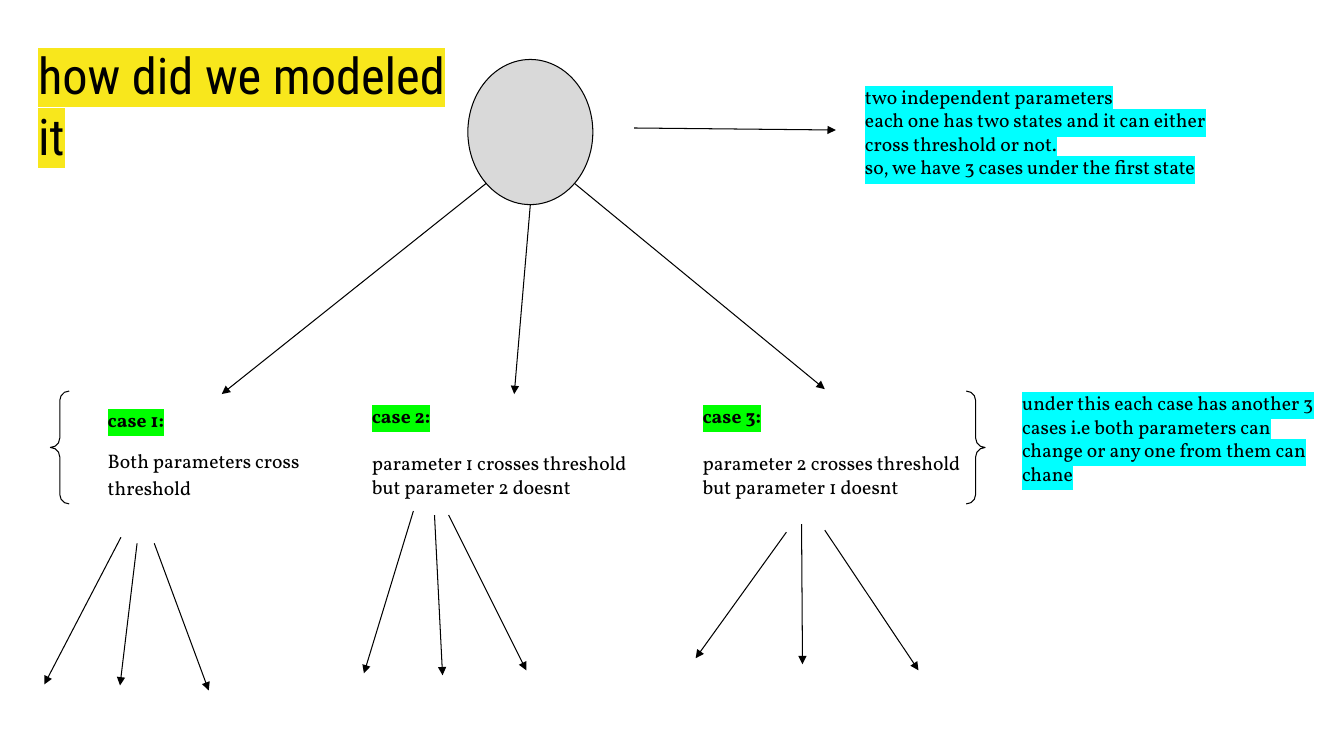
from math import cos, radians, sin

from lxml.etree import SubElement
from pptx import Presentation
from pptx.dml.color import RGBColor
from pptx.enum.shapes import MSO_CONNECTOR, MSO_SHAPE
from pptx.oxml import parse_xml
from pptx.oxml.ns import nsdecls, qn
from pptx.util import Inches, Pt

# Content: every length is a percentage of the slide's width or height
BLACK, GREY = "000000", "D9D9D9"
YELLOW, CYAN, GREEN = "F8E71C", "00FFFF", "00FF00"
TITLE_FONT, BODY_FONT = "Roboto Condensed", "Vollkorn"
BODY_SIZE = 14

TITLE = ("how did we modeled it", (2.1, 5.2, 32.7, 12))
STATE_CIRCLE = (34.81, 7.87, 9.3, 19.2)
CASE_BRACES = (3.75, 51.73, 69.54, 14.93)
NOTES = [
    (["two independent parameters",
      "each one has two states and it can either cross threshold or not.",
      "so, we have 3 cases under the first state"],
     (63.62, 9.87, 28.13, 15.2)),
    (["under this each case has another 3 cases i.e both parameters can "
      "change or any one from them can chane"],
     (75.32, 50.4, 23.93, 15.2)),
]
NOTE_ARROW = ((47.19, 16.93), (62.19, 17.2))

CASE_TOP, CASE_HEIGHT = 52.13, 15.2
# heading, lines, left, width, line spacing, space before heading and text
CASES = [
    ("case 1:", ["Both parameters cross threshold"], 7.28, 18.53, 1.15, 10, 10),
    ("case 2:", ["parameter 1 crosses threshold but parameter 2 doesnt"],
     26.93, 22.73, None, 0, 16.8),
    ("case 3:", ["parameter 2 crosses threshold", "but parameter 1 doesnt"],
     51.54, 28.13, None, 0, 16.8),
]
# angle on the circle (clockwise from the right), arrow tip
BRANCHES = [(135, (16.5, 52.13)), (90, (38.26, 52.13)), (45, (61.37, 51.47))]
CASE_FANS = [
    [((9, 71.07), (3.3, 90.53)), ((10.2, 71.87), (8.93, 90.67)),
     ((11.48, 71.87), (15.53, 91.33))],
    [((30.76, 67.6), (27.08, 89.07)), ((32.33, 68.13), (32.93, 89.33)),
     ((33.38, 68.13), (39.16, 88.67))],
    [((58.51, 70.4), (51.76, 87.07)), ((59.64, 69.33), (59.71, 87.87)),
     ((61.37, 70.13), (68.34, 88.67))],
]

presentation = Presentation()
presentation.slide_width, presentation.slide_height = Inches(13.33), Inches(7.5)
slide = presentation.slides.add_slide(presentation.slide_layouts[6])


def color(hex_value):
    return RGBColor.from_string(hex_value)


def place(*shares):
    """Turn alternating x and y percentages into slide lengths."""
    sides = (presentation.slide_width, presentation.slide_height)
    return [round(share / 100 * sides[index % 2])
            for index, share in enumerate(shares)]


def add_text_frame(box, vertical_inset=0.1):
    frame = slide.shapes.add_textbox(*place(*box)).text_frame
    frame.word_wrap = True
    frame.margin_left = frame.margin_right = Inches(0.1)
    frame.margin_top = frame.margin_bottom = Inches(vertical_inset)
    return frame


def add_run(paragraph, text, highlight=None, bold=False,
            size=BODY_SIZE, font=BODY_FONT):
    run = paragraph.add_run()
    run.text = text
    run.font.size, run.font.bold, run.font.name = Pt(size), bold, font
    run.font.color.rgb = color(BLACK)
    if highlight:
        fill = run.font._element.find(qn("a:solidFill"))
        fill.addnext(parse_xml(
            f'<a:highlight {nsdecls("a")}><a:srgbClr val="{highlight}"/></a:highlight>'))


def add_outlined_shape(kind, box, fill=None):
    shape = slide.shapes.add_shape(kind, *place(*box))
    shape.shadow.inherit = False
    if fill:
        shape.fill.solid()
        shape.fill.fore_color.rgb = color(fill)
    else:
        shape.fill.background()
    shape.line.color.rgb = color(BLACK)
    shape.line.width = Pt(0.75)


def add_arrow(start, end):
    arrow = slide.shapes.add_connector(MSO_CONNECTOR.STRAIGHT, *place(*start, *end))
    arrow.line.color.rgb = color(BLACK)
    arrow.line.width = Pt(0.75)
    SubElement(arrow.line._get_or_add_ln(), qn("a:tailEnd"), type="triangle")
    SubElement(arrow._element.spPr, qn("a:effectLst"))


# Title
title_text, title_box = TITLE
add_run(add_text_frame(title_box, 0.05).paragraphs[0], title_text, YELLOW,
        size=36, font=TITLE_FONT)

# First state and its branches
add_outlined_shape(MSO_SHAPE.OVAL, STATE_CIRCLE, GREY)
left, top, width, height = STATE_CIRCLE
for angle, tip in BRANCHES:
    turn = radians(angle)
    add_arrow((left + width / 2 * (1 + cos(turn)),
               top + height / 2 * (1 + sin(turn))), tip)

# Highlighted notes
add_arrow(*NOTE_ARROW)
for lines, box in NOTES:
    frame = add_text_frame(box)
    for index, line in enumerate(lines):
        paragraph = frame.add_paragraph() if index else frame.paragraphs[0]
        add_run(paragraph, line, CYAN)

# Cases between the braces
add_outlined_shape(MSO_SHAPE.DOUBLE_BRACE, CASE_BRACES)
for heading, lines, left, width, spacing, heading_gap, text_gap in CASES:
    frame = add_text_frame((left, CASE_TOP, width, CASE_HEIGHT))
    paragraph = frame.paragraphs[0]
    paragraph.space_before = Pt(heading_gap)
    paragraph.line_spacing = spacing
    add_run(paragraph, heading, GREEN, bold=True)
    for index, line in enumerate(lines):
        paragraph = frame.add_paragraph()
        paragraph.space_before = Pt(0 if index else text_gap)
        paragraph.line_spacing = spacing
        add_run(paragraph, line)

# Three further cases under each case
for fan in CASE_FANS:
    for start, end in fan:
        add_arrow(start, end)

presentation.save("out.pptx")
